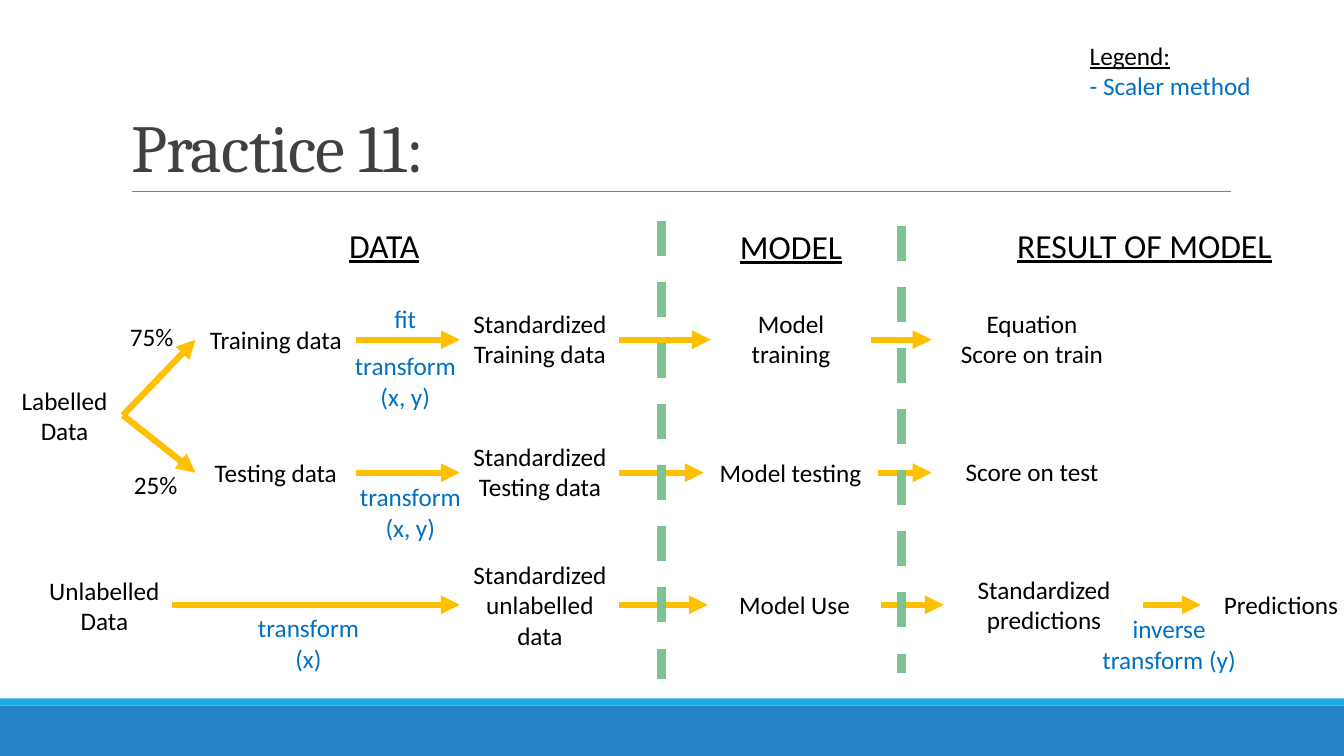
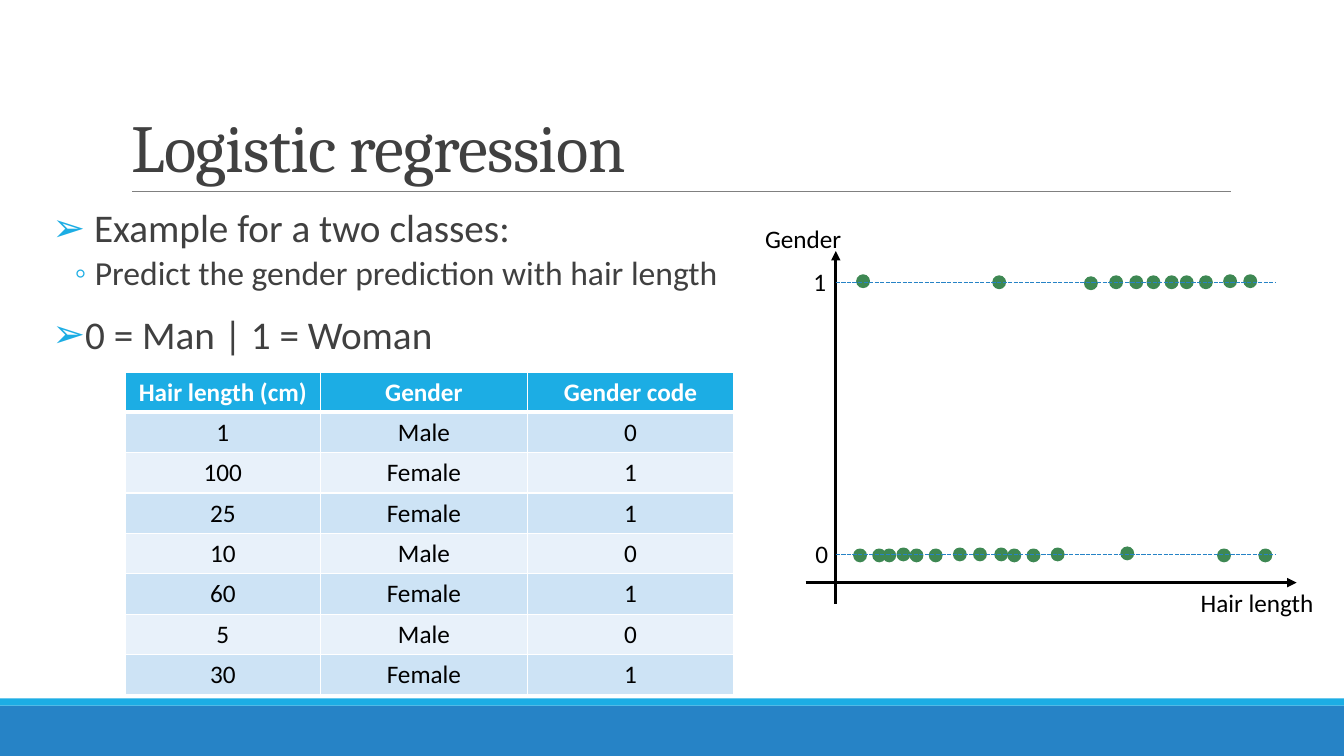
from lxml import etree
from pptx import Presentation
from pptx.dml.color import RGBColor
from pptx.enum.dml import MSO_LINE_DASH_STYLE as Dash
from pptx.enum.shapes import MSO_CONNECTOR, MSO_SHAPE
from pptx.enum.text import MSO_ANCHOR as Anchor, MSO_AUTO_SIZE as AutoSize, PP_ALIGN as Align
from pptx.oxml.ns import qn
from pptx.util import Inches, Pt

COLORS = {
    "black": "000000", "white": "FFFFFF", "text": "404040", "rule": "808080",
    "band": "2683C6", "accent": "1CADE4", "method": "0070C0", "arrow": "FFC000",
    "divider": "7EC492", "dot": "3E8853", "row_dark": "CDE3F5", "row_light": "E8F1FA",
}
TITLE_ONLY, TITLE_AND_CONTENT = 5, 1
DOT_SIZE = 0.12

HEADINGS = [("DATA", 2.91, 2.18, 1.8), ("MODEL", 7.05, 2.19, 1.59),
            ("RESULT OF MODEL", 9.93, 2.18, 2.84)]
STEPS = [
    ("Labelled Data", 0.05, 3.77, 1.18),
    ("Training data", 1.94, 3.17, 1.59),
    ("Standardized Training data", 4.56, 3.01, 1.59),
    ("Model training", 7.05, 3.01, 1.59),
    ("Equation\nScore on train", 9.24, 3.01, 1.99),
    ("Testing data", 1.94, 4.49, 1.59),
    ("Standardized Testing data", 4.56, 4.33, 1.59),
    ("Model testing", 6.98, 4.49, 1.72),
    ("Score on test", 9.24, 4.48, 1.99),
    ("Unlabelled Data", 0.36, 5.66, 1.35),
    ("Standardized unlabelled data", 4.56, 5.5, 1.59),
    ("Model Use", 7.02, 5.8, 1.72),
    ("Standardized predictions", 9.36, 5.65, 1.99),
    ("Predictions", 11.91, 5.8, 1.59),
]
METHODS = [
    ("fit", 3.73, 2.96, 0.58),
    ("transform\n(x, y)", 3.29, 3.43, 1.46),
    ("transform\n(x, y)", 3.34, 4.73, 1.46),
    ("transform (x)", 2.33, 6.03, 1.46),
    ("inverse\ntransform (y)", 10.35, 6.04, 2.49),
]
SHARES = [("75%", 1.19, 3.14, 0.75), ("25%", 1.23, 4.61, 0.75)]
SPLIT_ARROWS = [((1.22, 4.12), (1.94, 3.37)), ((1.22, 4.12), (1.94, 4.69))]
ROW_ARROWS = {
    3.37: [(3.53, 4.56), (6.14, 7.05), (8.64, 9.24)],
    4.69: [(3.53, 4.56), (6.14, 6.98), (8.71, 9.24)],
    6: [(1.71, 4.56), (6.14, 7.02), (8.74, 9.36), (11.34, 11.91)],
}
DOTS = {  # top edge: left edges
    2.73: [8.5, 12.14, 12.34],
    2.74: [9.85, 11.01, 11.21, 11.38, 11.56, 11.71, 11.9],
    2.75: [10.76],
    5.43: [11.12],
    5.44: [8.9, 9.46, 9.66, 9.87, 10.43],
    5.45: [8.47, 8.66, 8.76, 9.03, 9.22, 10, 10.19, 12.08, 12.49],
}
AXIS_LABELS = [("Gender", 7.49, 2.17, 1.04), ("Hair length", 11.81, 5.78, 1.58),
               ("1", 7.97, 2.59, 0.3), ("0", 7.99, 5.29, 0.3)]
SAMPLES = [
    ("Hair length (cm)", "Gender", "Gender code"),
    ("1", "Male", "0"), ("100", "Female", "1"), ("25", "Female", "1"),
    ("10", "Male", "0"), ("60", "Female", "1"), ("5", "Male", "0"),
    ("30", "Female", "1"),
]


def rgb(name):
    return RGBColor.from_string(COLORS[name])


def write(para, text, size=18, color="black", font="Calibri", align=None,
          bold=False, underline=False, spacing=None):
    """Add one formatted span; spacing is in hundredths of a point."""
    span = para.add_run()
    span.text = text
    span.font.name, span.font.size = font, Pt(size)
    span.font.bold, span.font.underline = bold, underline
    span.font.color.rgb = rgb(color)
    if spacing is not None:
        span.font._element.set("spc", str(spacing))
    if align is not None:
        para.alignment = align


def add_label(slide, text, left, top, width, **text_format):
    """Place a text box with one paragraph for each line of text."""
    lines = text.split("\n")
    height = 0.1 + 0.3 * len(lines)
    box = slide.shapes.add_textbox(*map(Inches, (left, top, width, height)))
    frame = box.text_frame
    frame.word_wrap = True
    for index, line in enumerate(lines):
        para = frame.add_paragraph() if index else frame.paragraphs[0]
        write(para, line, **text_format)
    return frame


def add_labels(slide, labels, **text_format):
    for label in labels:
        add_label(slide, *label, **text_format)


def add_line(slide, start, end, color, width, dash=None, arrow=False):
    line = slide.shapes.add_connector(MSO_CONNECTOR.STRAIGHT, *map(Inches, (*start, *end)))
    line.line.color.rgb = rgb(color)
    line.line.width = Pt(width)
    if dash is not None:
        line.line.dash_style = dash
    if arrow:
        etree.SubElement(line.line._get_or_add_ln(), qn("a:tailEnd"), type="triangle")
    etree.SubElement(line.element.spPr, qn("a:effectLst"))
    return line


def add_solid(slide, preset, left, top, width, height, color, line_width=0):
    shape = slide.shapes.add_shape(preset, *map(Inches, (left, top, width, height)))
    shape.shadow.inherit = False
    shape.fill.solid()
    shape.fill.fore_color.rgb = rgb(color)
    if line_width:
        shape.line.color.rgb = rgb(color)
        shape.line.width = Pt(line_width)
    else:
        shape.line.fill.background()
    return shape


def place(shape, left, top, width, height):
    shape.left, shape.top, shape.width, shape.height = map(Inches, (left, top, width, height))


def add_titled_slide(deck, layout, title):
    slide = deck.slides.add_slide(deck.slide_layouts[layout])
    place(slide.shapes.title, 1.2, 0.31, 11, 1.59)
    frame = slide.shapes.title.text_frame
    frame.auto_size = AutoSize.NONE
    frame.vertical_anchor = Anchor.BOTTOM
    para = frame.paragraphs[0]
    para.line_spacing = 0.85
    write(para, title, size=48, color="text", font="Cambria", align=Align.LEFT, spacing=-50)
    return slide


def add_master_frame(deck, slide):
    """Draw the bands and title rule, then move them to the back of the master."""
    parts = [
        add_solid(slide, MSO_SHAPE.RECTANGLE, 0, 7, 13.33, 0.5, "band"),
        add_solid(slide, MSO_SHAPE.RECTANGLE, 0, 6.93, 13.33, 0.07, "accent"),
        add_line(slide, (1.31, 1.9), (12.21, 1.9), "rule", 0.5),
    ]
    for position, part in enumerate(parts, start=2):
        deck.slide_master.shapes.element.insert(position, part.element)


def add_bullet(para, text, symbol, size, level, margin, hanging, before, after):
    para.level = level
    para.line_spacing = 0.9
    para.space_before, para.space_after = Pt(before), Pt(after)
    write(para, text, size=size, color="text", align=Align.LEFT)
    properties = para._p.get_or_add_pPr()
    properties.set("marL", str(Inches(margin)))
    properties.set("indent", str(-Inches(hanging)))
    bullet_color = etree.SubElement(properties, qn("a:buClr"))
    etree.SubElement(bullet_color, qn("a:srgbClr"), val=COLORS["accent"])
    etree.SubElement(properties, qn("a:buChar"), char=symbol)


def fill_body(slide):
    body = slide.placeholders[1]
    place(body, 0.52, 2.02, 6.84, 4.78)
    frame = body.text_frame
    frame.auto_size = AutoSize.NONE
    frame.margin_left = frame.margin_right = 0
    main = dict(symbol="➢", size=28, level=0, margin=0.1, hanging=0.1, before=12, after=2)
    sub = dict(symbol="◦", size=24, level=1, margin=0.42, hanging=0.2, before=2, after=4)
    add_bullet(frame.paragraphs[0], " Example for a two classes:", **main)
    add_bullet(frame.add_paragraph(), "Predict the gender prediction with hair length", **sub)
    add_bullet(frame.add_paragraph(), "0 = Man | 1 = Woman", **main)


def set_borders(cell, top, bottom):
    """Draw white cell borders; side borders are one point wide."""
    properties = cell._tc.get_or_add_tcPr()
    widths = {"lnL": 1, "lnR": 1, "lnT": top, "lnB": bottom}
    for position, (side, width) in enumerate(widths.items()):
        border = etree.Element(qn(f"a:{side}"), w=str(Pt(width)))
        fill = etree.SubElement(border, qn("a:solidFill"))
        etree.SubElement(fill, qn("a:srgbClr"), val=COLORS["white"])
        properties.insert(position, border)


def add_sample_table(slide):
    columns = (1.94, 2.05, 2.05)
    table = slide.shapes.add_table(
        len(SAMPLES), len(columns), *map(Inches, (1.24, 3.69, sum(columns), 3.2))).table
    for column, width in zip(table.columns, columns):
        column.width = Inches(width)
    for row, values in enumerate(SAMPLES):
        header = row == 0
        fill = "accent" if header else "row_dark" if row % 2 else "row_light"
        for column, value in enumerate(values):
            cell = table.cell(row, column)
            cell.vertical_anchor = Anchor.MIDDLE
            cell.fill.solid()
            cell.fill.fore_color.rgb = rgb(fill)
            set_borders(cell, top=3 if row == 1 else 1, bottom=3 if header else 1)
            write(cell.text_frame.paragraphs[0], value, align=Align.CENTER,
                  color="white" if header else "black", bold=header)


def add_scatter(slide):
    for start, end in [((8.29, 5.99), (8.29, 2.49)), ((7.99, 5.78), (12.86, 5.78))]:
        add_line(slide, start, end, "black", 2.25, arrow=True)
    for top, lefts in DOTS.items():
        for left in lefts:
            add_solid(slide, MSO_SHAPE.OVAL, left, top, DOT_SIZE, DOT_SIZE, "dot", line_width=1.25)
    add_labels(slide, AXIS_LABELS)
    for level in (5.5, 2.8):
        add_line(slide, (8.29, level), (12.66, level), "band", 1, dash=Dash.SQUARE_DOT)


def build_practice(deck):
    slide = add_titled_slide(deck, TITLE_ONLY, "Practice 11:")
    add_labels(slide, HEADINGS, size=24, underline=True, align=Align.CENTER)
    add_labels(slide, STEPS, align=Align.CENTER)
    row_arrows = [((start, level), (end, level))
                  for level, spans in ROW_ARROWS.items() for start, end in spans]
    for start, end in SPLIT_ARROWS + row_arrows:
        add_line(slide, start, end, "arrow", 4.5, arrow=True)
    add_labels(slide, METHODS, color="method", align=Align.CENTER)
    add_labels(slide, SHARES)
    legend = add_label(slide, "Legend:", 10.71, 0.35, 2, underline=True)
    write(legend.add_paragraph(), "- Scaler method", color="method")
    for left, top, bottom in [(6.56, 2.19, 6.74), (8.94, 2.24, 6.68)]:
        add_line(slide, (left, top), (left, bottom), "divider", 6.25, dash=Dash.DASH)


def build_regression(deck):
    slide = add_titled_slide(deck, TITLE_AND_CONTENT, "Logistic regression")
    fill_body(slide)
    add_scatter(slide)
    add_sample_table(slide)
    return slide


def main():
    deck = Presentation()
    deck.slide_width, deck.slide_height = Inches(13.33), Inches(7.5)
    build_practice(deck)
    last_slide = build_regression(deck)
    add_master_frame(deck, last_slide)
    deck.save("out.pptx")


if __name__ == "__main__":
    main()
